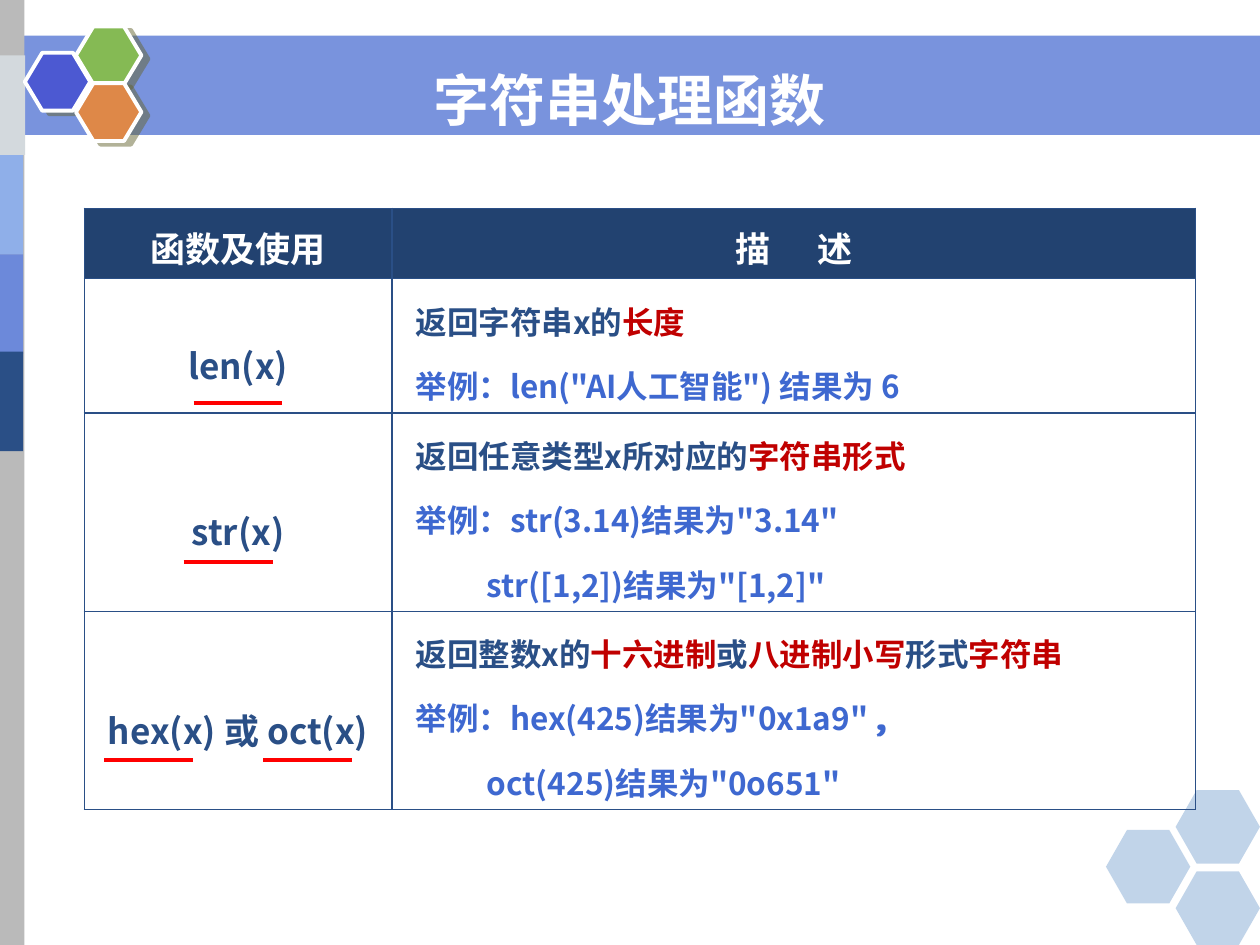
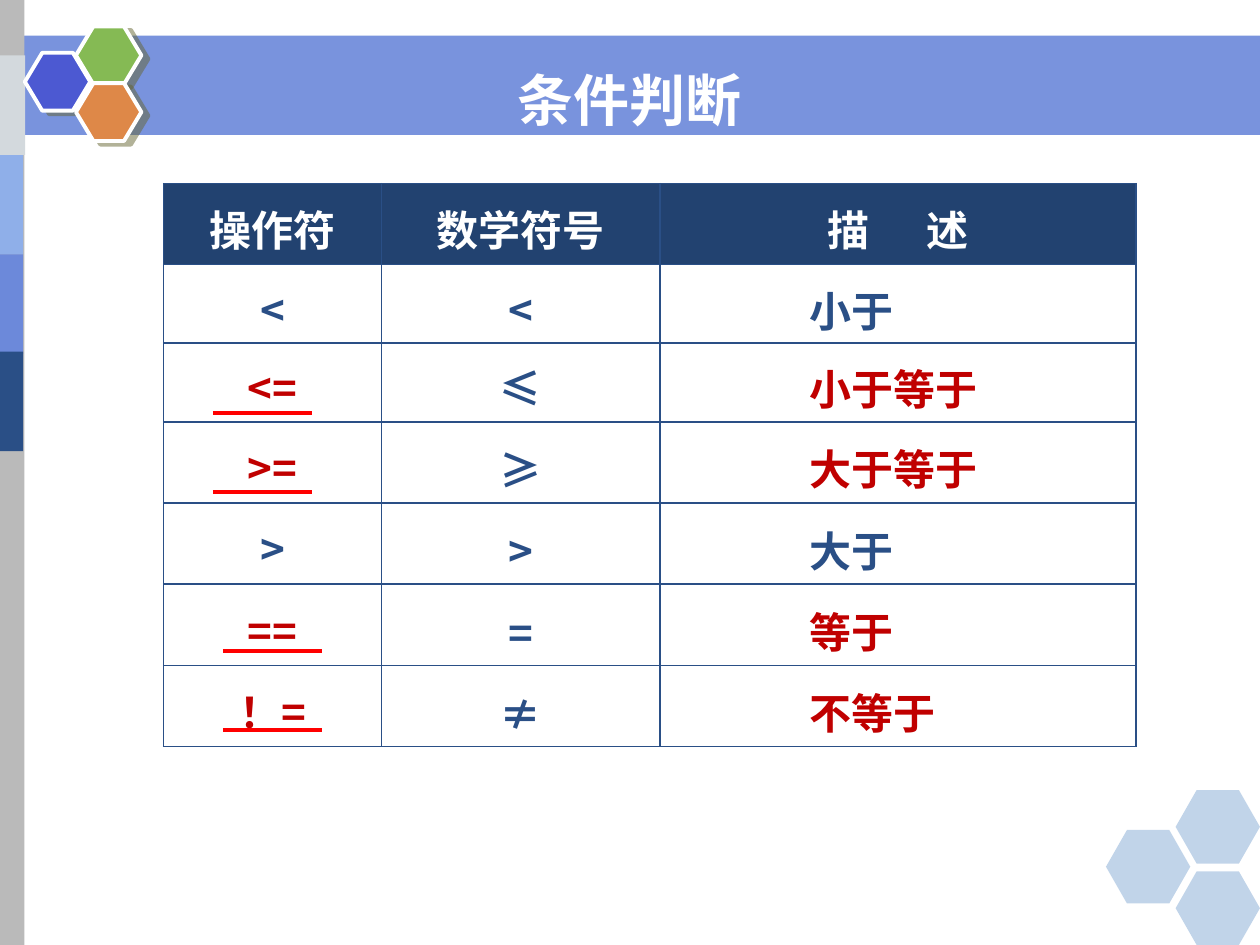
from lxml.etree import SubElement
from pptx import Presentation
from pptx.dml.color import RGBColor
from pptx.enum.shapes import MSO_CONNECTOR, MSO_SHAPE
from pptx.enum.text import MSO_ANCHOR, PP_ALIGN
from pptx.oxml.ns import qn
from pptx.util import Pt

WHITE = RGBColor(0xFF, 0xFF, 0xFF)
NAVY = RGBColor(0x2A, 0x4F, 0x86)
HEADER_NAVY = RGBColor(0x22, 0x42, 0x70)
PERIWINKLE = RGBColor(0x6C, 0x89, 0xDA)
SKY = RGBColor(0x8F, 0xAF, 0xE9)
GREY = RGBColor(0xBA, 0xBA, 0xBA)
PALE_GREY = RGBColor(0xD3, 0xD9, 0xDD)
INDIGO = RGBColor(0x4C, 0x59, 0xD2)
GREEN = RGBColor(0x85, 0xBA, 0x54)
ORANGE = RGBColor(0xDE, 0x88, 0x48)
CORNER_BLUE = RGBColor(0x50, 0x86, 0xC2)
EXAMPLE_BLUE = RGBColor(0x3E, 0x68, 0xD0)
KEY_RED = RGBColor(0xC0, 0x00, 0x00)
LINE_RED = RGBColor(0xFF, 0x00, 0x00)

BODY_FONT = "Noto Sans CJK SC"
TITLE_FONT = "DejaVu Sans"
PAGE_WIDTH, PAGE_HEIGHT = 720, 540
TEXT_INDENT = 13.7
EXAMPLE_INDENT = 54.3

SIDE_BLOCKS = [(31.7, PALE_GREY), (88.6, SKY), (145.4, PERIWINKLE), (200.9, NAVY)]
LOGO_CELLS = [(14.2, 30.2, INDIGO), (43.4, 15.1, GREEN), (43.4, 47.5, ORANGE)]
CORNER_CELLS = [(632, 474.3), (671.8, 451.5), (671.8, 498)]

FUNCTION_ROWS = [
    ("len(x)", [
        [("返回字符串x的", NAVY), ("长度", KEY_RED)],
        [("举例：len(\"AI人工智能\") 结果为 6", EXAMPLE_BLUE)],
    ]),
    ("str(x)", [
        [("返回任意类型x所对应的", NAVY), ("字符串形式", KEY_RED)],
        [("举例：str(3.14)结果为\"3.14\"", EXAMPLE_BLUE)],
        [("str([1,2])结果为\"[1,2]\"", EXAMPLE_BLUE)],
    ]),
    ("hex(x) 或 oct(x)", [
        [("返回整数x的", NAVY), ("十六进制", KEY_RED), ("或", NAVY),
         ("八进制小写", KEY_RED), ("形式", NAVY), ("字符串", KEY_RED)],
        [("举例：hex(425)结果为\"0x1a9\" ", EXAMPLE_BLUE), (",,", EXAMPLE_BLUE, -4.8)],
        [("oct(425)结果为\"0o651\"", EXAMPLE_BLUE)],
    ]),
]
OPERATOR_ROWS = [
    ("<", "<", "小于", NAVY, 4.6),
    ("<=", "≤", "小于等于", KEY_RED, 4.6),
    (">=", "≥", "大于等于", KEY_RED, 7),
    (">", ">", "大于", NAVY, 7),
    ("==", "=", "等于", KEY_RED, 7),
    ("！=", "≠", "不等于", KEY_RED, 7),
]


def add_span(para, text, size=18, color=NAVY, font=BODY_FONT, spacing=0):
    span = para.add_run()
    span.text = text
    span.font.size = Pt(size)
    span.font.bold = True
    span.font.color.rgb = color
    span.font.name = font
    properties = span.font._element
    SubElement(properties, qn("a:ea")).set("typeface", BODY_FONT)
    if spacing:
        properties.set("spc", str(round(spacing * 100)))


def add_block(page, kind, left, top, width, height, color, opacity=100):
    block = page.shapes.add_shape(kind, Pt(left), Pt(top), Pt(width), Pt(height))
    block.shadow.inherit = False
    block.fill.solid()
    block.fill.fore_color.rgb = color
    block.line.fill.background()
    if opacity < 100:
        tint = block.element.spPr.xpath("./a:solidFill/a:srgbClr")[0]
        SubElement(tint, qn("a:alpha")).set("val", str(opacity * 1000))
    return block


def add_logo_cell(page, left, top, color):
    block = add_block(page, MSO_SHAPE.HEXAGON, left, top, 37.4, 33.1, color)
    block.adjustments[0] = 0.3
    block.line.color.rgb = WHITE
    block.line.width = Pt(2.25)
    effects = block.element.spPr.find(qn("a:effectLst"))
    shadow = SubElement(effects, qn("a:outerShdw"), dist=str(Pt(4.5)),
                        dir=str(27 * 60000), algn="ctr", rotWithShape="0")
    tint = SubElement(shadow, qn("a:srgbClr"), val="666633")
    SubElement(tint, qn("a:alpha"), val="50000")


def add_page(deck, title):
    page = deck.slides.add_slide(deck.slide_layouts[6])
    add_block(page, MSO_SHAPE.RECTANGLE, 0, 20.4, PAGE_WIDTH, 56.7, PERIWINKLE, 91)
    add_block(page, MSO_SHAPE.RECTANGLE, -1, 0, 15, PAGE_HEIGHT, GREY)
    for top, color in SIDE_BLOCKS:
        left = 0 if color == PALE_GREY else -1.2
        add_block(page, MSO_SHAPE.RECTANGLE, left, top, 14.4, 56.9, color)
    for left, top, color in LOGO_CELLS:
        add_logo_cell(page, left, top, color)
    for left, top in CORNER_CELLS:
        block = add_block(page, MSO_SHAPE.HEXAGON, left, top, 48.2, 42, CORNER_BLUE, 35)
        block.adjustments[0] = 0.286
    box = page.shapes.add_textbox(0, Pt(33.8), Pt(PAGE_WIDTH), Pt(46))
    frame = box.text_frame
    frame.word_wrap = True
    frame.vertical_anchor = MSO_ANCHOR.MIDDLE
    para = frame.paragraphs[0]
    para.alignment = PP_ALIGN.CENTER
    add_span(para, title, size=32, color=WHITE, font=TITLE_FONT)
    return page


def add_grid(page, left, top, widths, heights):
    frame = page.shapes.add_table(len(heights), len(widths), Pt(left), Pt(top),
                                  Pt(sum(widths)), Pt(sum(heights)))
    grid = frame.table
    for column, width in zip(grid.columns, widths):
        column.width = Pt(width)
    for row, height in zip(grid.rows, heights):
        row.height = Pt(height)
    return grid


def write_cell(cell, lines, size, top=4.6, indents=None, fill=None):
    properties = cell._tc.get_or_add_tcPr()
    for side in ("L", "R", "T", "B"):
        border = SubElement(properties, qn(f"a:ln{side}"), w=str(Pt(1)))
        paint = SubElement(border, qn("a:solidFill"))
        SubElement(paint, qn("a:srgbClr"), val=str(NAVY))
    if fill is None:
        cell.fill.background()
    else:
        cell.fill.solid()
        cell.fill.fore_color.rgb = fill
    cell.margin_left = cell.margin_right = cell.margin_bottom = 0
    cell.margin_top = Pt(top)
    cell.vertical_anchor = MSO_ANCHOR.MIDDLE
    frame = cell.text_frame
    for index, spans in enumerate(lines):
        para = frame.add_paragraph() if index else frame.paragraphs[0]
        if indents:
            para._p.get_or_add_pPr().set("marL", str(Pt(indents[index])))
            para._p.get_or_add_pPr().set("indent", "0")
        else:
            para.alignment = PP_ALIGN.CENTER
        if index:
            para.space_before = Pt(10.8)
        for text, color, *spacing in spans:
            add_span(para, text, size=size, color=color, spacing=sum(spacing))


def write_header(grid, titles, size):
    description = [("描", WHITE), (" ", WHITE, size * 1.12), ("述", WHITE)]
    headings = [[(title, WHITE)] for title in titles] + [description]
    for column, spans in enumerate(headings):
        write_cell(grid.cell(0, column), [spans], size, fill=HEADER_NAVY)


def add_underline(page, left, top, length):
    line = page.shapes.add_connector(MSO_CONNECTOR.STRAIGHT, Pt(left), Pt(top),
                                     Pt(left + length), Pt(top))
    line.line.color.rgb = LINE_RED
    line.line.width = Pt(2.25)
    SubElement(line.element.spPr, qn("a:effectLst"))


def add_function_page(deck):
    page = add_page(deck, "字符串处理函数")
    grid = add_grid(page, 48.2, 119.1, [175.7, 459.3], [40, 77, 113.3, 113.3])
    write_header(grid, ["函数及使用"], 20)
    for row, (name, lines) in enumerate(FUNCTION_ROWS, 1):
        indents = [TEXT_INDENT, TEXT_INDENT, EXAMPLE_INDENT]
        write_cell(grid.cell(row, 0), [[(name, NAVY)]], 20, top=20.9)
        write_cell(grid.cell(row, 1), lines, 18, top=7.7, indents=indents)
    for left, top in [(110.6, 230.3), (105, 321.1), (59.6, 434.2), (150.5, 434.2)]:
        add_underline(page, left, top, 50.8)


def add_operator_page(deck):
    page = add_page(deck, "条件判断")
    grid = add_grid(page, 93.5, 104.9, [124.5, 159.1, 272.1],
                    [46.2, 45, 45] + [46.4] * 4)
    write_header(grid, ["操作符", "数学符号"], 24)
    for row, (operator, symbol, meaning, color, symbol_top) in enumerate(OPERATOR_ROWS, 1):
        write_cell(grid.cell(row, 0), [[(operator, color)]], 24)
        write_cell(grid.cell(row, 1), [[(symbol, NAVY)]], 24, top=symbol_top)
        write_cell(grid.cell(row, 2), [[(meaning, color)]], 24, top=5.9, indents=[85.7])
    for left, top in [(121.7, 236), (121.7, 281.2), (127.4, 372), (127.4, 417.3)]:
        add_underline(page, left, top, 56.7)


def main():
    deck = Presentation()
    deck.slide_width = Pt(PAGE_WIDTH)
    deck.slide_height = Pt(PAGE_HEIGHT)
    add_function_page(deck)
    add_operator_page(deck)
    deck.save("out.pptx")


if __name__ == "__main__":
    main()
